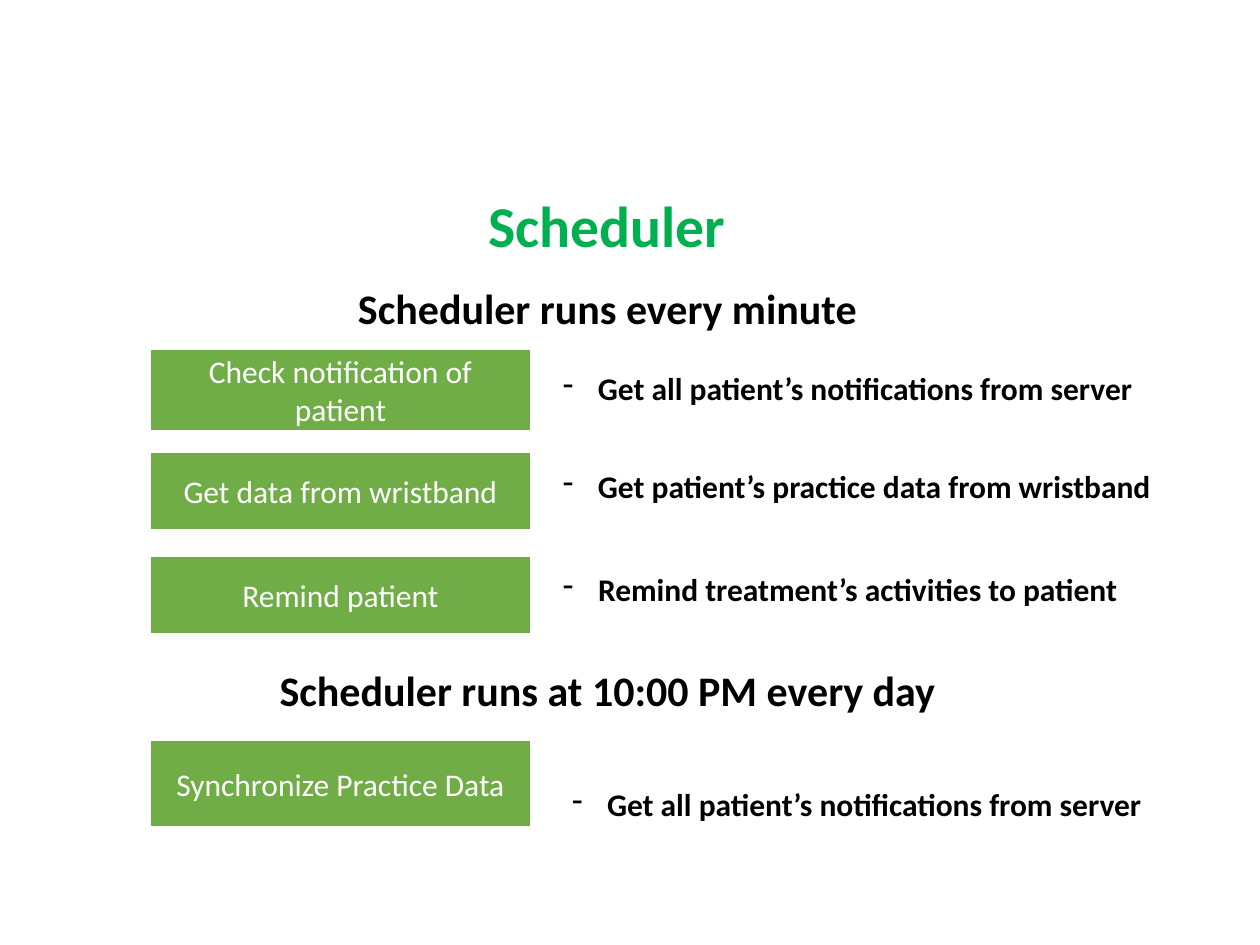
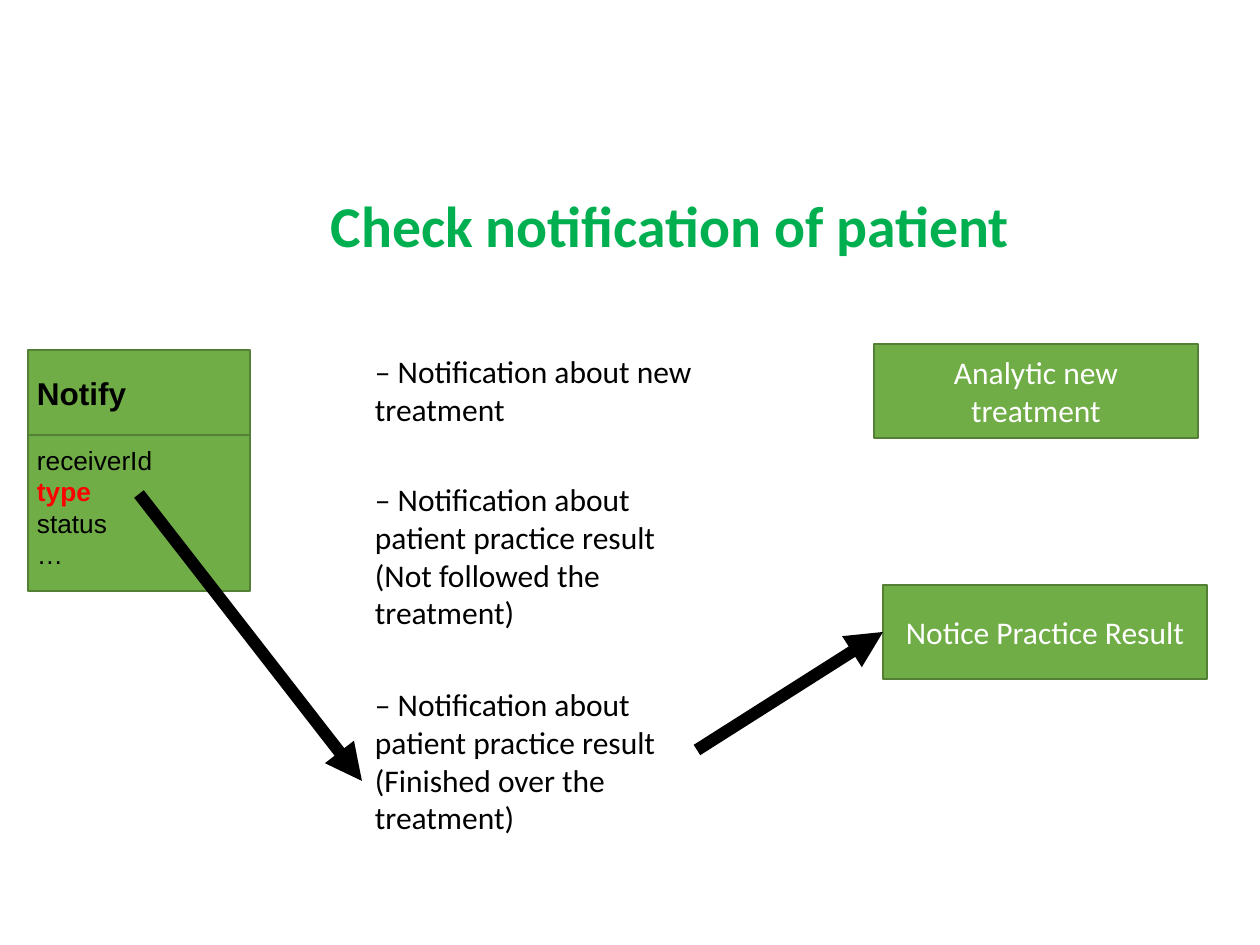
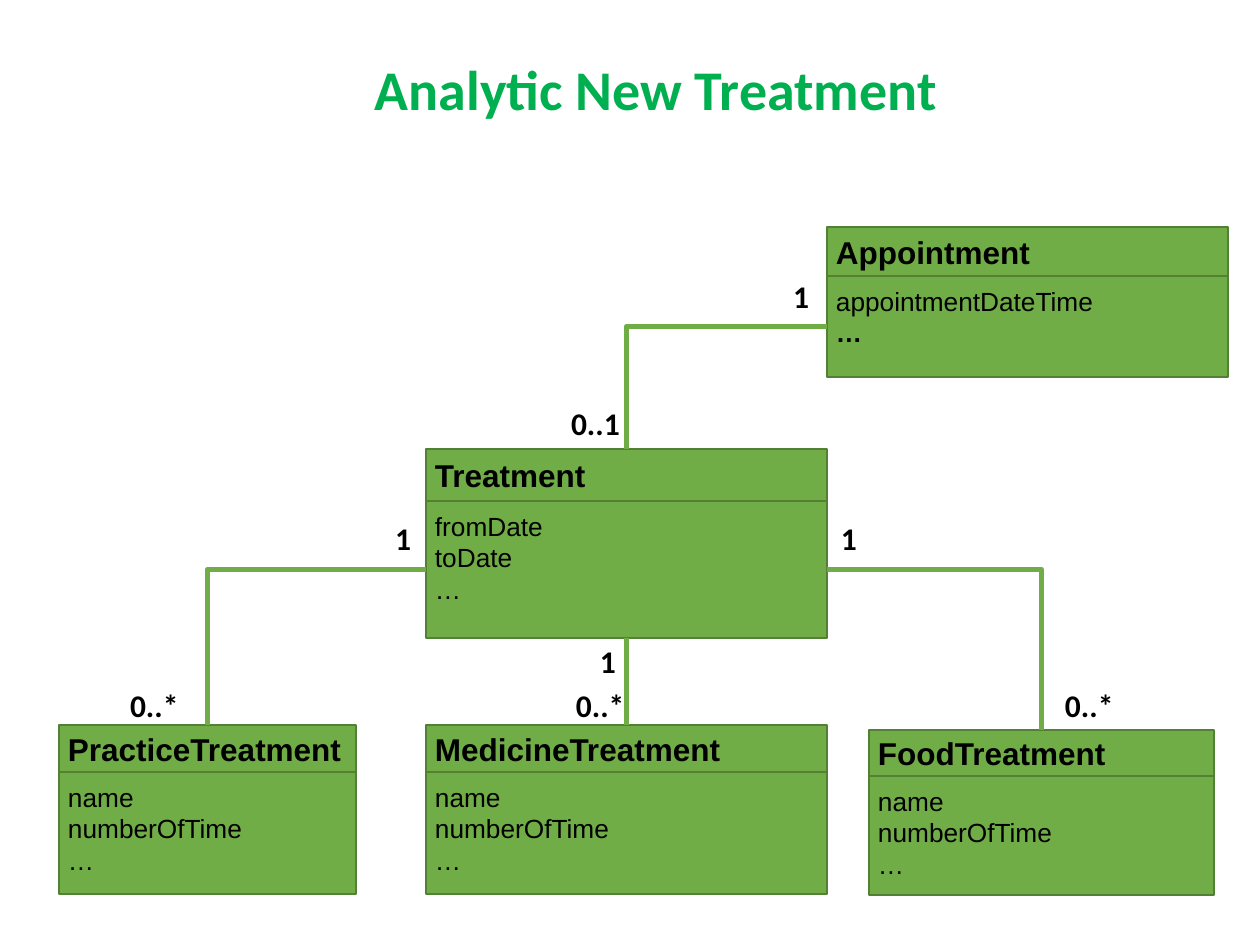
from dataclasses import dataclass

from lxml.etree import SubElement
from pptx import Presentation
from pptx.dml.color import RGBColor
from pptx.enum.shapes import MSO_CONNECTOR as Link, MSO_SHAPE as Shape
from pptx.enum.text import MSO_ANCHOR as Anchor, MSO_AUTO_SIZE as Fit, PP_ALIGN as Align
from pptx.oxml.ns import qn
from pptx.util import Emu, Pt


@dataclass(frozen=True)
class Theme:
    title: str = "00B050"
    box: str = "70AD47"
    edge: str = "538035"
    ink: str = "000000"
    paper: str = "FFFFFF"
    alert: str = "FF0000"
    sans: str = "Calibri"
    code: str = "Arial"
    heading_size: int = 24
    text_size: int = 18
    field_size: int = 15


THEME = Theme()
PX_PER_INCH = 126
TIGHT = 9
NORMAL = (13, 6)

SCHEDULER = {
    "title": ("Scheduler", (295, 169, 624, 111), 33),
    "headings": [
        ("Scheduler runs every minute", 252),
        ("Scheduler runs at 10:00 PM every day", 634),
    ],
    "jobs": [
        ("Check notification of patient", 349, 82),
        ("Get data from wristband", 452, 78),
        ("Remind patient", 556, 78),
        ("Synchronize Practice Data", 740, 87),
    ],
    "details": [
        ("Get all patient’s notifications from server", (537, 363, 643, 131)),
        ("Get patient’s practice data from wristband", (537, 461, 631, 50)),
        ("Remind treatment’s activities to patient", (537, 564, 597, 50)),
        ("Get all patient’s notifications from server", (546, 779, 612, 50)),
    ],
}

NOTIFICATION = {
    "title": ("Check notification of patient", (295, 169, 750, 111), 33),
    "entity": ("Notify", ["receiverId", "type", "status", "…"], (28, 350, 222), (85, 156)),
    "kinds": [
        ("– Notification about new treatment", (362, 346, 348, 89)),
        ("– Notification about patient practice result (Not followed the treatment)",
         (362, 474, 331, 165)),
        ("– Notification about patient practice result (Finished over the treatment)",
         (362, 679, 348, 204)),
    ],
    "actions": [
        ("Analytic new treatment", (874, 344, 324, 94)),
        ("Notice Practice Result", (883, 585, 324, 94)),
    ],
    "type_point": (139, 494),
    "kind_point": (697, 750),
}

PLAN_FIELDS = ["name", "numberOfTime", "…"]
TREATMENT = {
    "title": ("Analytic New Treatment", (281, 33, 750, 111), 32),
    "entities": [
        ("Treatment", ["fromDate", "toDate", "…"], (426, 449, 401), (52, 137)),
        ("Appointment", ["appointmentDateTime", "…"], (827, 227, 401), (49, 101)),
        ("PracticeTreatment", PLAN_FIELDS, (59, 725, 297), (47, 122)),
        ("MedicineTreatment", PLAN_FIELDS, (426, 725, 401), (47, 122)),
        ("FoodTreatment", PLAN_FIELDS, (869, 730, 345), (46, 119)),
    ],
    "relations": [
        ("Appointment", 1, "Treatment"),
        ("Treatment", 1, "PracticeTreatment"),
        ("Treatment", 2, "MedicineTreatment"),
        ("Treatment", 3, "FoodTreatment"),
    ],
    "counts": [
        ("1", 780, 271, 32), ("0..1", 558, 398, 93),
        ("1", 382, 513, 42), ("0..*", 117, 680, 93),
        ("1", 587, 636, 42), ("0..*", 563, 680, 93),
        ("1", 828, 513, 42), ("0..*", 1052, 680, 93),
    ],
}
FIELD_STYLES = {
    ("Notify", "type"): (THEME.alert, True),
    ("Appointment", "…"): (THEME.ink, True),
}


def px(count):
    return Emu(round(count * 914400 / PX_PER_INCH))


def rgb(colour):
    return RGBColor.from_string(colour)


def style(paragraph, size, colour=THEME.ink, bold=False, face=THEME.sans, align=Align.LEFT):
    paragraph.alignment = align
    font = paragraph.font
    font.name, font.size, font.bold = face, Pt(size), bold
    font.color.rgb = rgb(colour)


def set_frame(frame, anchor=Anchor.TOP, insets=NORMAL):
    frame.word_wrap = True
    frame.auto_size = Fit.NONE
    frame.vertical_anchor = anchor
    frame.margin_left = frame.margin_right = px(insets[0])
    frame.margin_top = frame.margin_bottom = px(insets[1])


def add_title(slide, text, area, size):
    title = slide.shapes.title
    title.left, title.top, title.width, title.height = map(px, area)
    title.text_frame.text = text
    set_frame(title.text_frame, Anchor.MIDDLE, (TIGHT, TIGHT))
    style(title.text_frame.paragraphs[0], size, THEME.title, True, align=Align.CENTER)


def add_text(slide, text, area, size=THEME.text_size, bold=False, align=Align.LEFT,
             anchor=Anchor.TOP):
    note = slide.shapes.add_textbox(*map(px, area))
    note.text_frame.text = text
    set_frame(note.text_frame, anchor)
    style(note.text_frame.paragraphs[0], size, bold=bold, align=align)
    return note


def add_dash(note):
    properties = note.text_frame.paragraphs[0]._p.get_or_add_pPr()
    properties.set("marL", str(px(48)))
    properties.set("indent", str(-px(35)))
    SubElement(properties, qn("a:buChar"), char="-")


def add_box(shapes, area, edge=THEME.edge, edge_width=1):
    box = shapes.add_shape(Shape.RECTANGLE, *map(px, area))
    box.shadow.inherit = False
    box.fill.solid()
    box.fill.fore_color.rgb = rgb(THEME.box)
    box.line.color.rgb = rgb(edge)
    box.line.width = Pt(edge_width)
    return box


def add_action(slide, text, area, **border):
    box = add_box(slide.shapes, area, **border)
    box.text_frame.text = text
    set_frame(box.text_frame, Anchor.MIDDLE)
    style(box.text_frame.paragraphs[0], THEME.text_size, THEME.paper, align=Align.CENTER)
    return box


def add_entity(slide, name, fields, place, heights):
    left, top, width = place
    head_height, body_height = heights
    parts = slide.shapes.add_group_shape().shapes
    body = add_box(parts, (left, top + head_height, width, body_height))
    head = add_box(parts, (left, top, width, head_height))
    body.text_frame.text = "\n".join(fields)
    head.text_frame.text = name
    set_frame(body.text_frame, Anchor.TOP, (TIGHT, TIGHT))
    set_frame(head.text_frame, Anchor.MIDDLE, (TIGHT, TIGHT))
    style(head.text_frame.paragraphs[0], THEME.text_size, bold=True, face=THEME.code)
    for field, paragraph in zip(fields, body.text_frame.paragraphs):
        colour, bold = FIELD_STYLES.get((name, field), (THEME.ink, False))
        style(paragraph, THEME.field_size, colour, bold, THEME.code)
    return head, body


def add_link(slide, target, side, start=(0, 0), source=None, kind=Link.STRAIGHT,
             colour=THEME.box, width=3, arrow=False):
    link = slide.shapes.add_connector(kind, *map(px, start), *map(px, start))
    if source:
        link.begin_connect(*source)
    link.end_connect(target, side)
    link.line.color.rgb = rgb(colour)
    link.line.width = Pt(width)
    properties = link._element.spPr
    if kind == Link.ELBOW:
        properties.find(qn("a:prstGeom")).set("prst", "bentConnector2")
    if arrow:
        SubElement(properties.find(qn("a:ln")), qn("a:tailEnd"), type="triangle")
    SubElement(properties, qn("a:effectLst"))


def build_scheduler(slide):
    for text, top in SCHEDULER["headings"]:
        add_text(slide, text, (169, top, 877, 111), THEME.heading_size, True,
                 Align.CENTER, Anchor.MIDDLE)
    for text, top, height in SCHEDULER["jobs"]:
        add_action(slide, text, (150, top, 381, height), edge=THEME.paper, edge_width=1.5)
    for text, area in SCHEDULER["details"]:
        add_dash(add_text(slide, text, area, bold=True))


def build_notification(slide):
    add_entity(slide, *NOTIFICATION["entity"])
    kinds = [add_text(slide, *kind) for kind in NOTIFICATION["kinds"]]
    actions = [add_action(slide, *action) for action in NOTIFICATION["actions"]]
    for start, target in (("kind_point", actions[-1]), ("type_point", kinds[-1])):
        add_link(slide, target, 1, NOTIFICATION[start], colour=THEME.ink, width=7, arrow=True)


def build_treatment(slide):
    entities = {entity[0]: add_entity(slide, *entity) for entity in TREATMENT["entities"]}
    for source, side, target in TREATMENT["relations"]:
        add_link(slide, entities[target][0], 0, source=(entities[source][1], side),
                 kind=Link.STRAIGHT if side == 2 else Link.ELBOW)
    for text, left, top, width in TREATMENT["counts"]:
        add_text(slide, text, (left, top, width, 50), bold=True)


def main():
    deck = Presentation()
    deck.slide_width, deck.slide_height = px(1260), px(945)
    for content, build in ((SCHEDULER, build_scheduler),
                           (NOTIFICATION, build_notification),
                           (TREATMENT, build_treatment)):
        slide = deck.slides.add_slide(deck.slide_layouts[5])
        add_title(slide, *content["title"])
        build(slide)
    deck.save("out.pptx")


if __name__ == "__main__":
    main()
